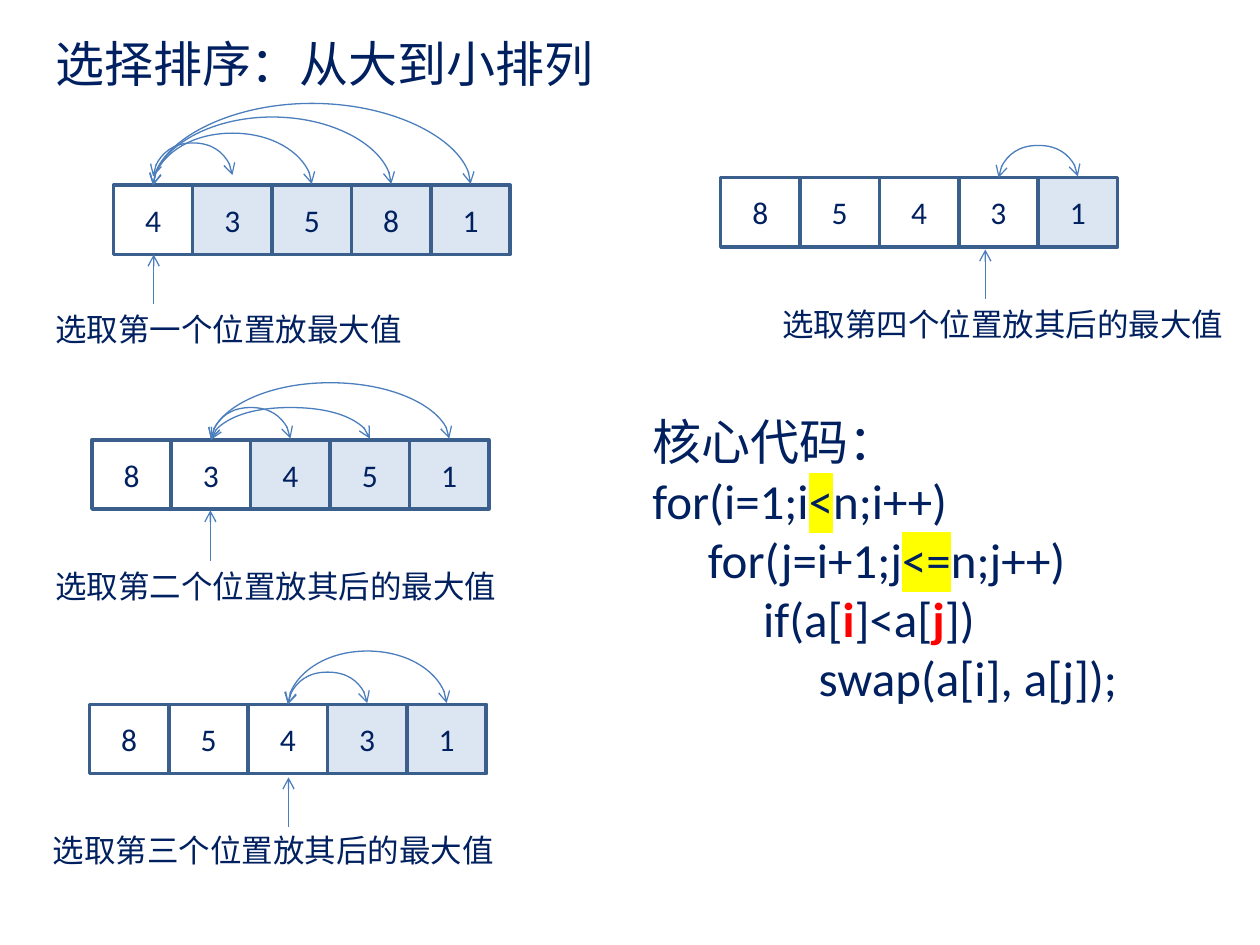
from lxml import etree
from pptx import Presentation
from pptx import util as u
from pptx.dml.color import RGBColor
from pptx.enum import shapes, text
from pptx.oxml import ns

COLORS = {"ink": "002060", "border": "3A5F8C", "shade": "DCE6F2",
          "arrow": "4B7EBC", "red": "FF0000", "yellow": "FFFF00"}
CELL_W, CELL_H = 0.63, 0.55
ARC_DEPTH = 0.01

STEPS = [
    {"at": (0.9, 1.47), "values": "43581", "chosen": 0,
     "arcs": [(1.4, 1.13), (1.47, 1.05), (1.47, 0.92), (1.47, 0.81)],
     "pointer": (1.22, 2.41, 2.02),
     "label": ("选取第一个位置放最大值", 0.34, 2.41, 3.09)},
    {"at": (0.73, 3.49), "values": "83451", "chosen": 1,
     "arcs": [(3.49, 3.23), (3.49, 3.23), (3.49, 3.03)],
     "pointer": (1.67, 4.45, 4.05),
     "label": ("选取第二个位置放其后的最大值", 0.34, 4.45, 3.95)},
    {"at": (0.71, 5.59), "values": "85431", "chosen": 2,
     "arcs": [(5.59, 5.33), (5.59, 5.16)],
     "pointer": (2.29, 6.56, 6.17),
     "label": ("选取第三个位置放其后的最大值", 0.32, 6.55, 3.88)},
    {"at": (5.72, 1.41), "values": "85431", "chosen": 3,
     "arcs": [(1.41, 1.15)],
     "pointer": (7.82, 2.37, 1.98),
     "label": ("选取第四个位置放其后的最大值", 6.11, 2.37, 3.77)},
]

CODE = [
    [("核心代码：", {})],
    [("for(i=1;i", {}), ("<", {"highlight": "yellow"}), ("n;i++)", {})],
    [("     for(j=i+1;j", {}), ("<=", {"highlight": "yellow"}), ("n;j++)", {})],
    [("          if(a[", {}), ("i", {"color": "red", "bold": True}), ("]<a[", {}),
     ("j", {"color": "red", "bold": True}), ("])", {})],
    [("               swap(a[i], a[j]);", {})],
]


def rgb(name):
    return RGBColor.from_string(COLORS[name])


def add_run(p, words, size=18, color="ink", bold=False, highlight=None):
    r = p.add_run()
    r.text = words
    r.font.name = "Calibri"
    r.font.size = u.Pt(size)
    r.font.bold = bold
    r.font.color.rgb = rgb(color)
    if highlight:
        mark = etree.Element(ns.qn("a:highlight"))
        etree.SubElement(mark, ns.qn("a:srgbClr"), val=COLORS[highlight])
        r.font._element.find(ns.qn("a:solidFill")).addnext(mark)


class Board:
    def __init__(self, slide):
        self.s = slide

    def text(self, lines, x, y, w, h, size=18):
        sp = self.s.shapes.add_textbox(*map(u.Inches, (x, y, w, h)))
        tf = sp.text_frame
        tf.word_wrap = True
        for i, runs in enumerate(lines):
            p = tf.add_paragraph() if i else tf.paragraphs[0]
            for words, style in runs:
                add_run(p, words, size=size, **style)

    def cell(self, value, x, y, shaded):
        sp = self.s.shapes.add_shape(shapes.MSO_SHAPE.RECTANGLE,
                                     *map(u.Inches, (x, y, CELL_W, CELL_H)))
        sp.shadow.inherit = False
        if shaded:
            sp.fill.solid()
            sp.fill.fore_color.rgb = rgb("shade")
        else:
            sp.fill.background()
        sp.line.color.rgb = rgb("border")
        sp.line.width = u.Pt(2)
        tf = sp.text_frame
        tf.vertical_anchor = text.MSO_ANCHOR.MIDDLE
        p = tf.paragraphs[0]
        p.alignment = text.PP_ALIGN.CENTER
        add_run(p, value)

    def connector(self, kind, x1, y1, x2, y2, ends):
        sp = self.s.shapes.add_connector(kind, *map(u.Inches, (x1, y1, x2, y2)))
        sp.line.color.rgb = rgb("arrow")
        sp.line.width = u.Pt(0.75)
        ln = sp.line._get_or_add_ln()
        for end in ends:
            etree.SubElement(ln, ns.qn(end), type="arrow")
        etree.SubElement(sp._element.spPr, ns.qn("a:effectLst"))
        return sp

    def pointer(self, x, bottom, top):
        self.connector(shapes.MSO_CONNECTOR.STRAIGHT, x, bottom, x, top, ["a:tailEnd"])

    def arc(self, x, y, span, apex):
        mid_x, mid_y = x + span / 2, y - ARC_DEPTH / 2
        sp = self.connector(shapes.MSO_CONNECTOR.CURVE,
                            mid_x - ARC_DEPTH / 2, mid_y - span / 2,
                            mid_x + ARC_DEPTH / 2, mid_y + span / 2,
                            ["a:headEnd", "a:tailEnd"])
        spPr = sp._element.spPr
        spPr.find(ns.qn("a:xfrm")).set("rot", str(270 * 60000))
        guides = spPr.find(ns.qn("a:prstGeom")).find(ns.qn("a:avLst"))
        bend = round((y - apex) / ARC_DEPTH * 100000)
        etree.SubElement(guides, ns.qn("a:gd"), name="adj1", fmla=f"val {bend}")

    def step(self, at, values, chosen, arcs, pointer, label):
        x, y = at
        for i, value in enumerate(values):
            self.cell(value, x + i * CELL_W, y, i > chosen)
        for i, (start, apex) in enumerate(arcs, 1):
            self.arc(x + (chosen + 0.5) * CELL_W, start, i * CELL_W, apex)
        self.pointer(*pointer)
        words, left, top, width = label
        self.text([[(words, {})]], left, top, width, 0.4)


def main():
    prs = Presentation()
    prs.slide_width, prs.slide_height = u.Inches(10), u.Inches(7.5)
    board = Board(prs.slides.add_slide(prs.slide_layouts[6]))
    board.text([[("选择排序：从大到小排列", {})]], 0.34, 0.22, 5.91, 0.57, size=28)
    for step in STEPS:
        board.step(**step)
    board.text(CODE, 5.08, 3.22, 4.29, 2.46, size=28)
    prs.save("out.pptx")


if __name__ == "__main__":
    main()
